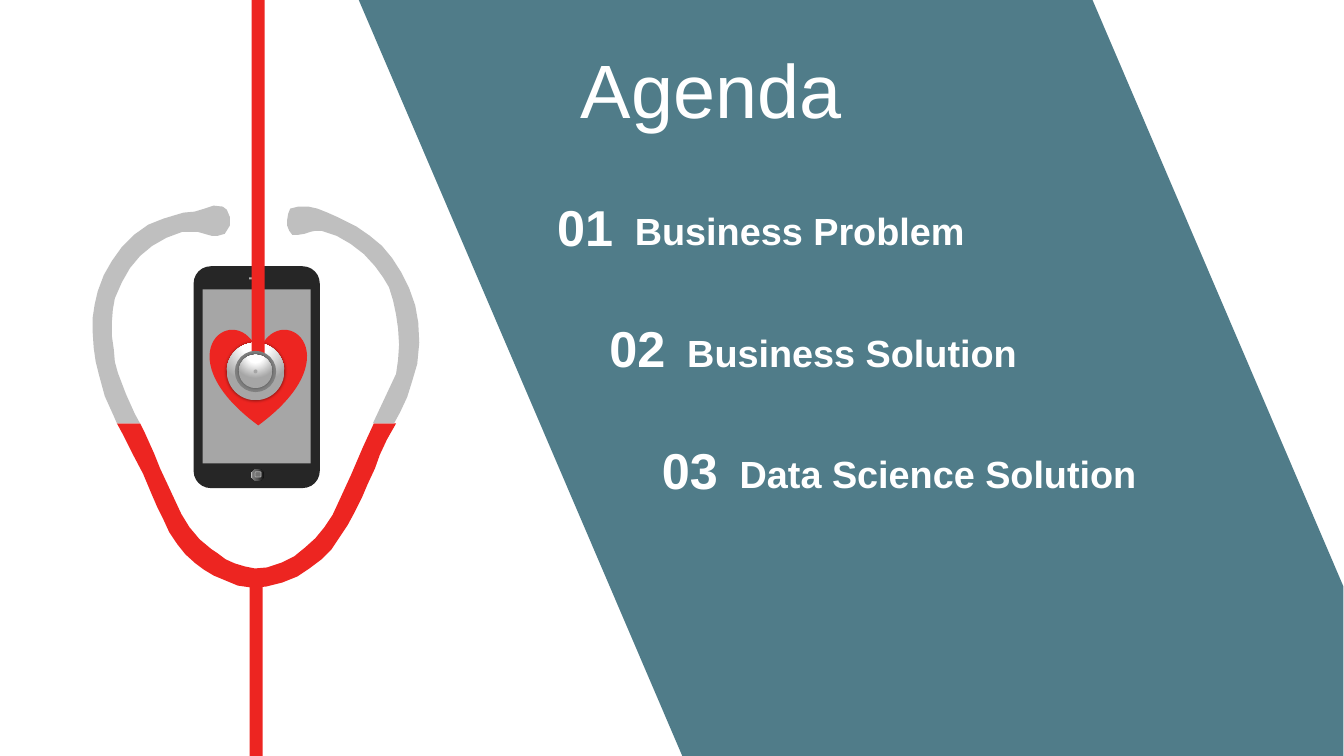
import collections

import pptx
import pptx.dml.color
import pptx.enum.shapes
import pptx.enum.text
import pptx.oxml
import pptx.oxml.ns
import pptx.util

Cm = pptx.util.Cm
RGBColor = pptx.dml.color.RGBColor
SHAPE = pptx.enum.shapes.MSO_SHAPE
ALIGN = pptx.enum.text.PP_ALIGN
Box = collections.namedtuple("Box", "left top width height")  # centimetres

TEAL = RGBColor(0x50, 0x7C, 0x89)
RED = RGBColor(0xED, 0x25, 0x21)
WHITE = RGBColor(0xFF, 0xFF, 0xFF)
BLACK = RGBColor(0x00, 0x00, 0x00)
CASE = RGBColor(0x26, 0x26, 0x26)
SCREEN = RGBColor(0xA6, 0xA6, 0xA6)
TUBE_GREY = RGBColor(0xBF, 0xBF, 0xBF)
TRIM = RGBColor(0xB0, 0xB0, 0xB0)
RING = RGBColor(0x80, 0x80, 0x80)
BUTTON_MARK = RGBColor(0x73, 0x73, 0x73)
BUTTON_STOPS = [(0, RGBColor(0x0F, 0x0F, 0x0F)), (56, RGBColor(0x59, 0x59, 0x59)),
                (91, RING), (100, TUBE_GREY)]
METAL_STOPS = [(0, WHITE), (35, WHITE), (100, SCREEN)]
LINEAR = '<a:lin ang="10800000" scaled="0"/>'
RADIAL = ('<a:path path="circle"><a:fillToRect l="50000" t="-80000" '
          'r="50000" b="180000"/></a:path>')

FONT = "Arial"
OUTLINE_UNIT = Cm(0.0254)
AGENDA = ["Business Problem", "Business Solution", "Data Science Solution"]

# Outlines are counted in OUTLINE_UNIT from the corner of their box.
BAND = [(356, 0), (1084, 0), (1333, 582), (1333, 750), (677, 750)]
RED_TUBE = [
    (116, 420), (139, 420), (144, 430), (153, 450), (159, 465), (166, 480), (173, 495),
    (180, 510), (188, 523), (198, 535), (210, 545), (216, 549), (224, 555), (233, 559),
    (243, 562), (253, 564), (265, 563), (280, 558), (292, 552), (303, 543), (313, 534),
    (322, 523), (330, 511), (336, 498), (342, 485), (348, 472), (354, 458), (360, 444),
    (371, 420), (393, 420), (392, 422), (384, 436), (377, 451), (372, 465), (365, 480),
    (359, 494), (352, 508), (345, 521), (337, 533), (329, 545), (319, 555), (307, 564),
    (295, 572), (280, 578), (264, 582), (250, 583), (236, 581), (224, 576), (212, 571),
    (202, 565), (194, 559), (184, 550), (176, 540), (168, 528), (162, 515), (156, 503),
    (150, 489), (142, 470), (132, 451), (122, 431)]
RIGHT_EARPIECE = [
    (296, 205), (306, 205), (315, 207), (325, 211), (334, 215), (342, 219), (354, 225),
    (367, 234), (379, 244), (389, 256), (398, 270), (406, 286), (412, 303), (415, 320),
    (416, 340), (414, 361), (409, 378), (404, 394), (397, 409), (391, 420), (370, 420),
    (393, 371), (395, 357), (396, 342), (395, 326), (393, 312), (390, 298), (386, 285),
    (380, 275), (372, 264), (361, 252), (348, 242), (334, 234), (319, 229), (313, 229),
    (308, 230), (302, 232), (296, 233), (290, 233), (287, 229), (285, 224), (285, 218),
    (286, 212), (288, 207)]
LEFT_EARPIECE = [
    (212, 204), (221, 205), (225, 208), (228, 215), (228, 224), (223, 232), (216, 234),
    (210, 234), (203, 232), (196, 230), (189, 230), (181, 230), (165, 236), (151, 244),
    (139, 254), (129, 266), (121, 280), (114, 296), (112, 307), (111, 320), (111, 333),
    (113, 347), (114, 359), (117, 370), (125, 391), (134, 411), (139, 420), (116, 420),
    (113, 413), (104, 393), (98, 371), (95, 359), (93, 345), (92, 330), (92, 315),
    (94, 302), (97, 289), (103, 273), (111, 259), (121, 245), (133, 233), (147, 223),
    (162, 217), (172, 214), (182, 211), (193, 210), (203, 207)]


def paint(shape, colour):
    shape.shadow.inherit = False
    shape.fill.solid()
    shape.fill.fore_color.rgb = colour
    shape.line.fill.background()


def paint_gradient(shape, stops, direction):
    shape.fill.gradient()
    stop_xml = "".join(f'<a:gs pos="{position * 1000}"><a:srgbClr val="{colour}"/></a:gs>'
                       for position, colour in stops)
    gradient = pptx.oxml.parse_xml(
        f'<a:gradFill {pptx.oxml.ns.nsdecls("a")} rotWithShape="1">'
        f'<a:gsLst>{stop_xml}</a:gsLst>{direction}</a:gradFill>')
    properties = shape.element.spPr
    properties.replace(properties.find(pptx.oxml.ns.qn("a:gradFill")), gradient)


def add_soft_shadow(shape):
    effects = shape.element.spPr.find(pptx.oxml.ns.qn("a:effectLst"))
    effects.append(pptx.oxml.parse_xml(
        f'<a:outerShdw {pptx.oxml.ns.nsdecls("a")} blurRad="{pptx.util.Pt(2)}" dist="0" '
        f'dir="0"><a:srgbClr val="{BLACK}"><a:alpha val="40000"/></a:srgbClr></a:outerShdw>'))


def add_part(slide, box, kind, left, top, width, height, colour):
    """Add a preset shape, placed from the corner of the box."""
    shape = slide.shapes.add_shape(kind, Cm(box.left + left), Cm(box.top + top),
                                   Cm(width), Cm(height))
    paint(shape, colour)
    return shape


def add_outline(slide, box, colour, *contours):
    builder = slide.shapes.build_freeform(*contours[0][0], scale=OUTLINE_UNIT)
    builder.add_line_segments(contours[0][1:])
    for contour in contours[1:]:
        builder.move_to(*contour[0])
        builder.add_line_segments(contour[1:])
    paint(builder.convert_to_shape(Cm(box.left), Cm(box.top)), colour)


def draw_phone(slide, box):
    case = add_part(slide, box, SHAPE.ROUNDED_RECTANGLE, 0, 0, box.width, box.height, CASE)
    case.adjustments[0] = 0.136
    add_part(slide, box, SHAPE.RECTANGLE, 1.4, 0.28, 0.33, 0.05, TRIM)
    button = add_part(slide, box, SHAPE.OVAL, 1.45, 5.11, 0.33, 0.3, CASE)
    paint_gradient(button, BUTTON_STOPS, LINEAR)
    mark = add_part(slide, box, SHAPE.ROUNDED_RECTANGLE, 1.55, 5.18, 0.15, 0.13, BUTTON_MARK)
    mark.line.color.rgb = TRIM
    mark.line.width = pptx.util.Pt(0.5)
    add_part(slide, box, SHAPE.RECTANGLE, 0.23, 0.58, 2.72, 4.39, SCREEN)
    add_part(slide, box, SHAPE.HEART, 0.41, 1.57, 2.44, 2.44, RED)


def add_disc(slide, box, diameter, colour=None):
    """Add a disc about the chest piece's centre, metallic if no colour is given."""
    disc = add_part(slide, box, SHAPE.OVAL, 6.44 - diameter / 2, 9.36 - diameter / 2,
                    diameter, diameter, colour or SCREEN)
    disc.rotation = 270
    if colour is None:
        paint_gradient(disc, METAL_STOPS, RADIAL)
        add_soft_shadow(disc)


def draw_stethoscope(slide, box):
    add_part(slide, box, SHAPE.RECTANGLE, 6.29, 14.49, 0.33, box.height - 14.49, RED)
    add_disc(slide, box, 1.45)
    add_outline(slide, box, RED, RED_TUBE)
    add_outline(slide, box, TUBE_GREY, RIGHT_EARPIECE, LEFT_EARPIECE)
    add_part(slide, box, SHAPE.RECTANGLE, 6.34, 0, 0.33, 9.11, RED)
    add_disc(slide, box, 1.04, RING)
    add_disc(slide, box, 0.84)
    add_disc(slide, box, 0.1, SCREEN)


def write(shape, text, size, alignment=ALIGN.LEFT, bold=False):
    shape.text_frame.word_wrap = True
    shape.text_frame.text = text
    paragraph = shape.text_frame.paragraphs[0]
    paragraph.alignment = alignment
    paragraph.font.name = FONT
    paragraph.font.size = pptx.util.Pt(size)
    paragraph.font.bold = bold
    paragraph.font.color.rgb = WHITE


def place_title(slide, box, text):
    title = slide.shapes.title
    title.element.getparent().append(title.element)  # in front of the band
    title.left, title.top, title.width, title.height = map(Cm, box)
    title.text_frame.vertical_anchor = pptx.enum.text.MSO_ANCHOR.MIDDLE
    write(title, text, 54)


def add_label(slide, box, text, size, alignment):
    label = slide.shapes.add_textbox(*map(Cm, box))
    frame = label.text_frame
    frame.margin_left = frame.margin_right = Cm(0.3)
    frame.margin_top = frame.margin_bottom = Cm(0.13)
    write(label, text, size, alignment, bold=True)


def add_agenda(slide, box, topics):
    """Step the numbered topics down and right, along the slant of the band."""
    for index, topic in enumerate(topics):
        left, top = box.left + 1.32 * index, box.top + 3.07 * index
        add_label(slide, Box(left + 2.29, top + 0.3, 13.84, 1.42), topic, 27, ALIGN.LEFT)
        add_label(slide, Box(left, top, 2.67, 1.8), f"{index + 1:02}", 36, ALIGN.CENTER)


def build_agenda_slide(presentation, box):
    slide = presentation.slides.add_slide(presentation.slide_layouts[5])
    add_outline(slide, box, TEAL, BAND)
    draw_phone(slide, Box(box.left + 4.88, box.top + 6.71, 3.18, 5.59))
    draw_stethoscope(slide, box)
    place_title(slide, Box(box.left + 14.38, box.top + 0.94, 16.74, 2.57), "Agenda")
    add_agenda(slide, Box(box.left + 13.41, box.top + 4.8, 18.77, 7.94), AGENDA)


def main():
    presentation = pptx.Presentation()
    page = Box(0, 0, 33.87, 19.05)
    presentation.slide_width, presentation.slide_height = Cm(page.width), Cm(page.height)
    build_agenda_slide(presentation, page)
    presentation.save("out.pptx")


if __name__ == "__main__":
    main()
